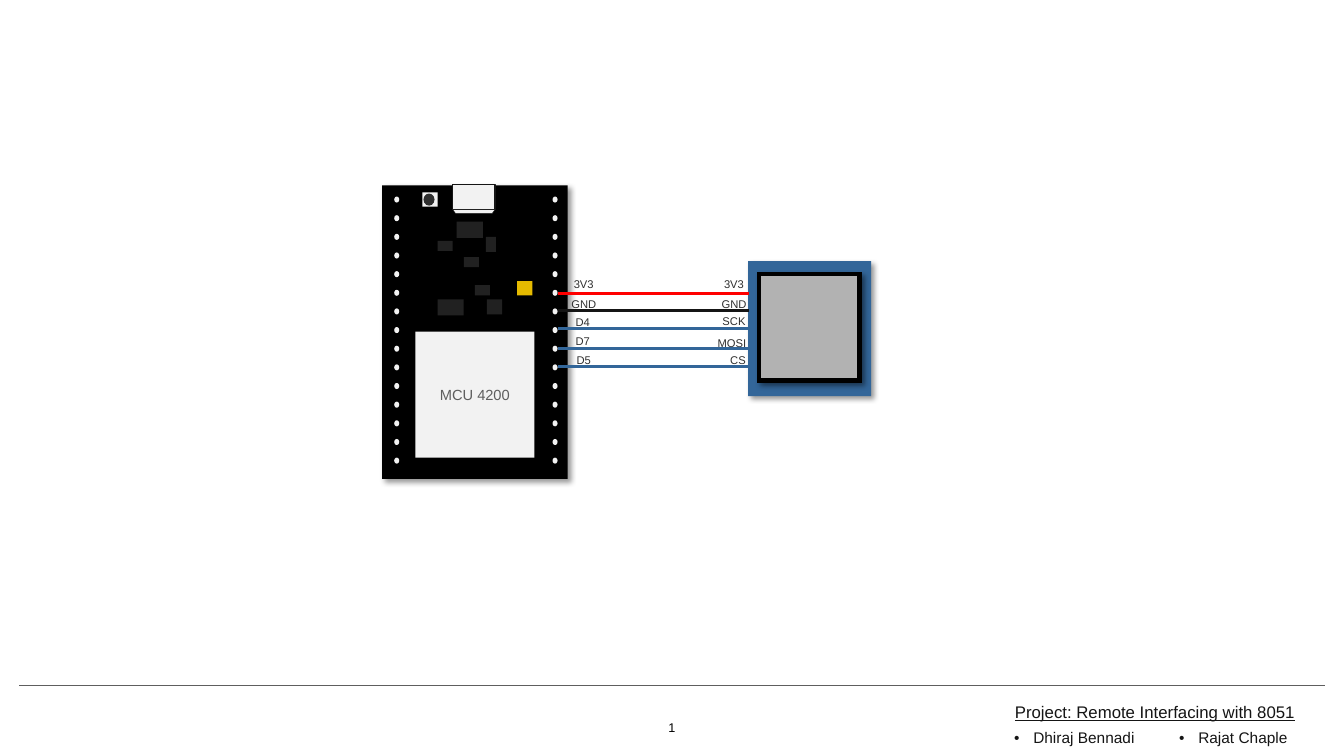
from lxml import etree
from pptx import Presentation
from pptx import util as u
from pptx.dml.color import RGBColor
from pptx.enum import shapes, text
from pptx.oxml import ns

COLORS = {
    "black": "000000", "ink": "151515", "label": "2F2F2F", "grey": "5E5E5E",
    "white": "FFFFFF", "light": "F2F2F2", "part": "F0F0F0", "led": "E5BA00",
    "blue": "336699", "glass": "B2B2B2", "red": "FF0000",
}
RECT = shapes.MSO_SHAPE.RECTANGLE
OVAL = shapes.MSO_SHAPE.OVAL
INSET = u.Inches(0.06)
FRAME = {
    "margin_left": INSET, "margin_right": INSET,
    "margin_top": INSET, "margin_bottom": INSET,
    "vertical_anchor": text.MSO_ANCHOR.MIDDLE, "word_wrap": True,
    "auto_size": text.MSO_AUTO_SIZE.NONE,
}
PARAGRAPH = {
    "alignment": text.PP_ALIGN.CENTER,
    "space_before": u.Pt(0), "space_after": u.Pt(0), "line_spacing": 1.0,
}

# wire colour, then height of wire, board label and display label centres
WIRES = [
    ("red", 2.91, ("3V3", 5.79, 2.82), ("3V3", 7.28, 2.82)),
    ("ink", 3.08, ("GND", 5.79, 3.02), ("GND", 7.28, 3.02)),
    ("blue", 3.26, ("D4", 5.78, 3.19), ("SCK", 7.28, 3.18)),
    ("blue", 3.46, ("D7", 5.78, 3.38), ("MOSI", 7.26, 3.4)),
    ("blue", 3.64, ("D5", 5.79, 3.57), ("CS", 7.32, 3.57)),
]


def rgb(name):
    return RGBColor.from_string(COLORS[name])


def inches(*lengths):
    return [u.Inches(length) for length in lengths]


def apply(target, values):
    for name, value in values.items():
        setattr(target, name, value)


def write(shape, lines, size, color, **font_values):
    frame = shape.text_frame
    apply(frame, FRAME)
    frame.text = "\n".join(lines)
    for paragraph in frame.paragraphs:
        apply(paragraph, PARAGRAPH)
        font = paragraph.runs[0].font
        apply(font, {"name": "Arial", "size": u.Pt(size), **font_values})
        font.color.rgb = rgb(color)


def paint(shape, fill, line=None, width=1):
    shape.shadow.inherit = False
    shape.fill.solid()
    shape.fill.fore_color.rgb = rgb(fill)
    if line:
        shape.line.color.rgb = rgb(line)
        shape.line.width = u.Pt(width)
    else:
        shape.line.fill.background()


def add_block(slide, kind, box, fill, line=None):
    block = slide.shapes.add_shape(kind, *inches(*box))
    paint(block, fill, line)
    return block


def set_alpha(parent, percent):
    etree.SubElement(parent, ns.qn("a:alpha"), val=str(percent * 1000))


def cast_shadow(shape):
    effects = shape.element.spPr.find(ns.qn("a:effectLst"))
    shadow = etree.SubElement(
        effects, ns.qn("a:outerShdw"), blurRad=str(u.Pt(4)), dist=str(u.Pt(3)),
        dir=str(45 * 60000), algn="tl", rotWithShape="0")
    color = etree.SubElement(shadow, ns.qn("a:srgbClr"), val=COLORS["black"])
    set_alpha(color, 40)


def add_line(slide, start, end, color, width):
    line = slide.shapes.add_connector(
        shapes.MSO_CONNECTOR.STRAIGHT, *inches(*start, *end))
    line.line.color.rgb = rgb(color)
    line.line.width = u.Pt(width)
    etree.SubElement(line.element.spPr, ns.qn("a:effectLst"))


def add_label(slide, wording, center_x, center_y):
    width, height = 0.95, 0.25
    label = slide.shapes.add_textbox(
        *inches(center_x - width / 2, center_y - height / 2, width, height))
    write(label, [wording], 8, "label")


def add_authors(slide, box):
    """Place the bulleted names side by side in two text columns."""
    authors = add_block(slide, RECT, box, "white")
    write(authors, ["Dhiraj Bennadi ", "Rajat Chaple"], 11, "ink")
    columns = authors.text_frame._txBody.bodyPr
    columns.set("numCol", "2")
    columns.set("spcCol", str(u.Inches(0.04)))
    indent = u.Inches(0.19)
    for paragraph in authors.text_frame.paragraphs:
        properties = paragraph._p.get_or_add_pPr()
        properties.set("marL", str(indent))
        properties.set("indent", str(-indent))
        etree.SubElement(properties, ns.qn("a:buFont"), typeface="Arial")
        etree.SubElement(properties, ns.qn("a:buChar"), char="•")


def add_footer(slide, left, top):
    """Place the rule, project title, authors and page number."""
    add_line(slide, (left, top), (left + 12.95, top), "grey", 0.5)

    project = slide.shapes.title
    place = inches(left + 9.67, top + 0.11, 3.19, 0.31)
    apply(project, dict(zip(("left", "top", "width", "height"), place)))
    write(project, ["Project: Remote Interfacing with 8051"], 12, "ink",
          underline=True)
    add_authors(slide, (left + 9.67, top + 0.37, 3.19, 0.3))

    page = slide.shapes.add_textbox(
        *inches(left + 6.34, top + 0.29, 0.27, 0.26))
    write(page, ["1"], 9, "black")
    apply(page.text_frame, {"word_wrap": False,
                            "vertical_anchor": text.MSO_ANCHOR.BOTTOM})
    field = page.text_frame.paragraphs[0].runs[0]._r
    field.tag = ns.qn("a:fld")
    field.set("id", "{B6F15528-21DE-4FAA-801E-634DDDAF4B2B}")
    field.set("type", "slidenum")


def add_usb_port(slide, left, top):
    add_block(slide, RECT, (left, top, 0.42, 0.25), "light", "ink")
    lip = [(0, 0.25), (0.42, 0.25), (0.39, 0.29), (0.03, 0.29)]
    corners = [inches(left + x, top + y) for x, y in lip]
    outline = slide.shapes.build_freeform(*corners[0])
    outline.add_line_segments(corners[1:], close=True)
    paint(outline.convert_to_shape(), "light", "black", 0.25)


def add_board(slide, left, top):
    cast_shadow(add_block(slide, RECT, (left, top, 1.84, 2.91), "black"))
    chip = add_block(slide, RECT, (left + 0.33, top + 1.45, 1.18, 1.25), "light")
    write(chip, ["MCU 4200"], 10.5, "grey")

    pin_pitch = 0.185
    for column in (0.12, 1.69):
        for row in range(15):
            pin = (left + column, top + 0.11 + row * pin_pitch, 0.05, 0.06)
            add_block(slide, OVAL, pin, "light")

    add_block(slide, RECT, (left + 0.4, top + 0.07, 0.15, 0.14), "light")
    add_block(slide, OVAL, (left + 0.41, top + 0.08, 0.11, 0.12), "label")
    add_block(slide, RECT, (left + 1.34, top + 0.95, 0.15, 0.14), "led")

    components = [
        (0.81, 0.71, 0.15, 0.1), (0.55, 0.55, 0.15, 0.1),
        (0.74, 0.36, 0.26, 0.16), (1.04, 1.13, 0.15, 0.15),
        (0.55, 1.13, 0.26, 0.16), (0.92, 0.99, 0.15, 0.1),
        (1.03, 0.51, 0.1, 0.15),
    ]
    for x, y, width, height in components:
        component = add_block(
            slide, RECT, (left + x, top + y, width, height), "part")
        tint = component.element.spPr.find(
            ns.qn("a:solidFill") + "/" + ns.qn("a:srgbClr"))
        set_alpha(tint, 14)
    add_usb_port(slide, left + 0.7, top - 0.01)


def add_display(slide, left, top):
    layers = [(0, 0, 1.22, 1.34, "blue"), (0.09, 0.11, 1.04, 1.1, "black"),
              (0.13, 0.15, 0.95, 1.01, "glass")]
    for x, y, width, height, fill in layers:
        cast_shadow(add_block(
            slide, RECT, (left + x, top + y, width, height), fill))


def add_wiring(slide, left, right):
    for color, y, board_label, display_label in WIRES:
        add_line(slide, (left, y), (right, y), color, 2)
        add_label(slide, *board_label)
        add_label(slide, *display_label)


def main():
    deck = Presentation()
    deck.slide_width, deck.slide_height = inches(13.33, 7.5)
    slide = deck.slides.add_slide(deck.slide_layouts[5])
    add_footer(slide, 0.19, 6.8)
    add_board(slide, 3.79, 1.84)
    add_display(slide, 7.42, 2.59)
    add_wiring(slide, 5.53, 7.43)
    deck.save("out.pptx")


if __name__ == "__main__":
    main()
